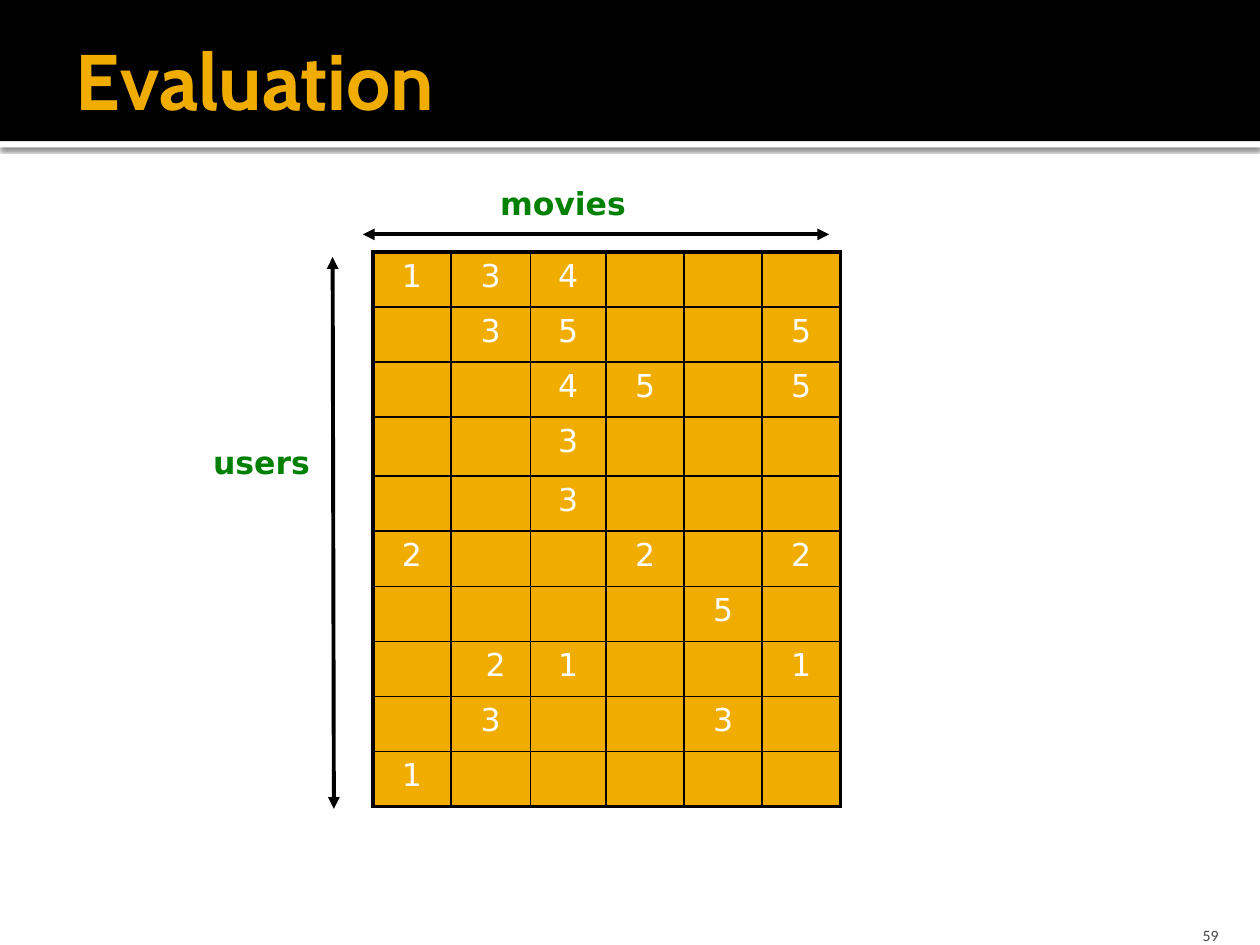
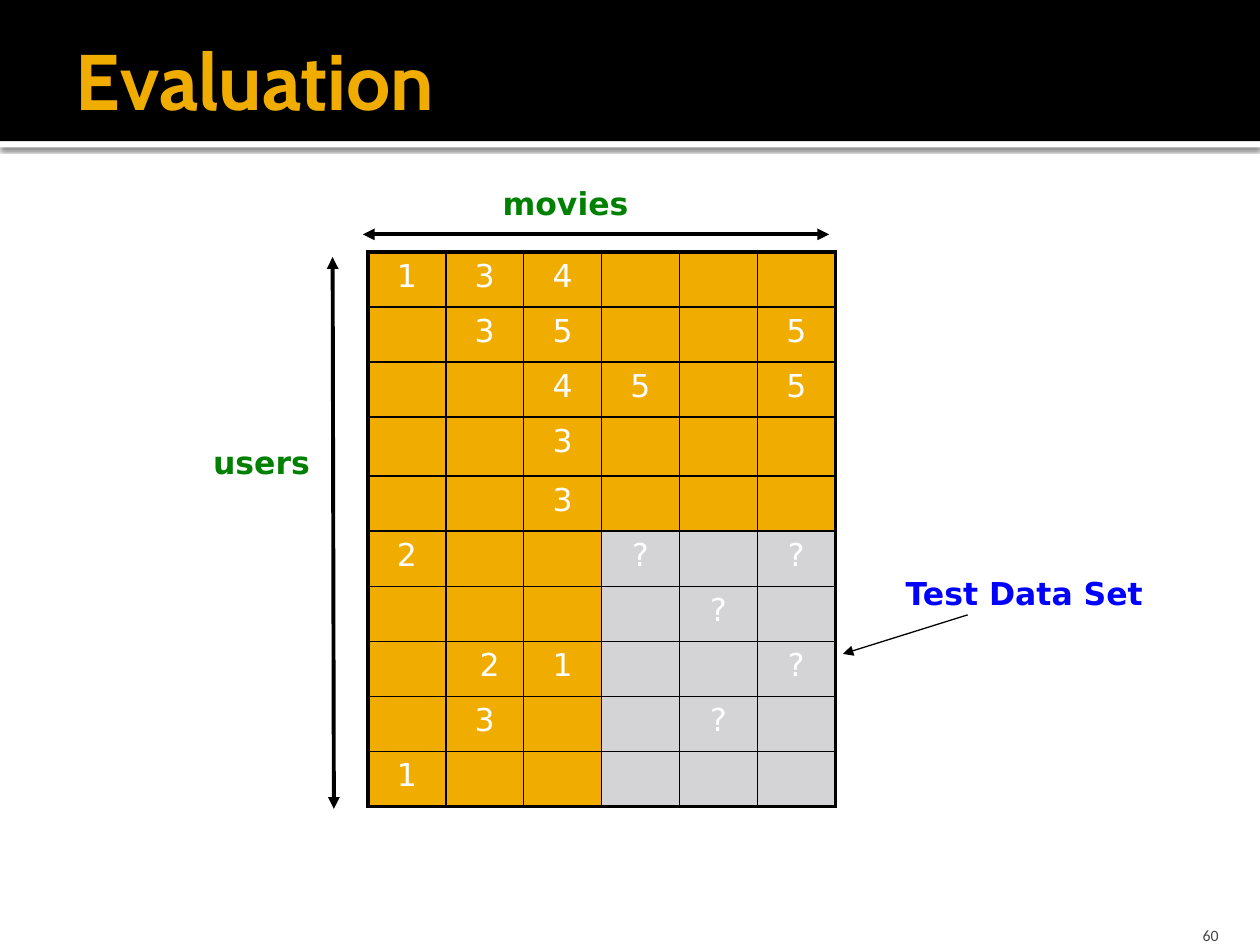
from pptx import Presentation
from pptx.dml.color import RGBColor
from pptx.enum.shapes import MSO_CONNECTOR, MSO_SHAPE
from pptx.enum.text import MSO_ANCHOR, PP_ALIGN
from pptx.oxml import parse_xml
from pptx.oxml.ns import nsdecls, qn
from pptx.util import Inches, Pt

RECTANGLE = MSO_SHAPE.RECTANGLE
STRAIGHT = MSO_CONNECTOR.STRAIGHT
LEFT, CENTER, RIGHT = PP_ALIGN.LEFT, PP_ALIGN.CENTER, PP_ALIGN.RIGHT
TOP, MIDDLE, BOTTOM = MSO_ANCHOR.TOP, MSO_ANCHOR.MIDDLE, MSO_ANCHOR.BOTTOM

COLORS = {
    "band": "000000",
    "stripe": "FFFFFF",
    "title": "F0AD00",
    "known": "F0AD00",
    "test": "D4D4D6",
    "rating": "FFFFFF",
    "line": "000000",
    "axis": "008000",
    "callout": "0000FF",
    "number": "454545",
}
TITLE_FONT, NUMBER_FONT, BODY_FONT = "Cabin", "Calibri", "DejaVu Sans"

RATINGS = [
    ["1", "3", "4", "", "", ""],
    ["", "3", "5", "", "", "5"],
    ["", "", "4", "5", "", "5"],
    ["", "", "3", "", "", ""],
    ["", "", "3", "", "", ""],
    ["2", "", "", "2", "", "2"],
    ["", "", "", "", "5", ""],
    ["", " 2", "1", "", "", "1"],
    ["", "3", "", "", "3", ""],
    ["1", "", "", "", "", ""],
]
TALL_ROW, TALL_HEIGHT = 3, 0.47
TEST_ROW, TEST_COLUMN = 5, 3
MATRIX_TOP, MATRIX_WIDTH, MATRIX_HEIGHT = 2, 3.71, 4.4
EVEN_COLUMNS = [MATRIX_WIDTH / 6] * 6
UNEVEN_COLUMNS = [0.62, 0.63, 0.6, 0.62, 0.62, 0.62]


def color(name):
    """Return the named colour of the palette."""
    return RGBColor.from_string(COLORS[name])


def style(paragraph, font, size, color_name, bold=False, alignment=LEFT):
    """Format a whole paragraph."""
    paragraph.alignment = alignment
    paragraph.font.name = font
    paragraph.font.size = Pt(size)
    paragraph.font.bold = bold
    paragraph.font.color.rgb = color(color_name)


def set_insets(frame, left, top, right, bottom):
    """Set the inner margins of a text frame in inches."""
    frame.margin_left, frame.margin_top = Inches(left), Inches(top)
    frame.margin_right, frame.margin_bottom = Inches(right), Inches(bottom)


def add_label(slide, box, text, color_name, alignment=LEFT, wrap=False):
    """Add a bold label in the given box."""
    frame = slide.shapes.add_textbox(*map(Inches, box)).text_frame
    frame.word_wrap = wrap
    frame.text = text
    style(frame.paragraphs[0], BODY_FONT, 18, color_name, True, alignment)


def add_arrow(slide, start, end, width, both_ends=False):
    """Draw a straight arrow between two points."""
    connector = slide.shapes.add_connector(STRAIGHT, *map(Inches, start + end))
    connector.line.color.rgb = color("line")
    connector.line.width = Pt(width)
    properties = connector._element.spPr
    outline = properties.find(qn("a:ln"))
    for tag in ("headEnd", "tailEnd") if both_ends else ("tailEnd",):
        outline.append(parse_xml(f'<a:{tag} {nsdecls("a")} type="triangle"/>'))
    properties.append(parse_xml(f'<a:effectLst {nsdecls("a")}/>'))


def add_band(slide, box, color_name):
    """Add a plain full-width band behind the title."""
    band = slide.shapes.add_shape(RECTANGLE, *map(Inches, box))
    band.shadow.inherit = False
    band.fill.solid()
    band.fill.fore_color.rgb = color(color_name)
    band.line.fill.background()
    return band


def add_header(slide, text, width=10, height=1.12):
    """Build the black header, its shadowed stripe and the title."""
    stripe = add_band(slide, (0, height, width, 0.05), "stripe")
    stripe._element.spPr.find(qn("a:effectLst")).append(parse_xml(
        f'<a:outerShdw {nsdecls("a")} blurRad="{Pt(2.5)}" dist="{Pt(0.8)}"'
        ' dir="5400000" algn="tl" rotWithShape="0"><a:srgbClr val="000000">'
        '<a:alpha val="60000"/></a:srgbClr></a:outerShdw>'))
    add_band(slide, (0, 0, width, height), "band")
    title = slide.shapes.title
    slide.shapes._spTree.append(title._element)
    title.left, title.top = Inches(0.5), Inches(0.17)
    title.width, title.height = Inches(width - 1), Inches(0.92)
    frame = title.text_frame
    frame.text = text
    frame.vertical_anchor = MIDDLE
    set_insets(frame, 0.1, 0.05, 0.05, 0.05)
    style(frame.paragraphs[0], TITLE_FONT, 45, "title", True)


def add_slide_number(slide, number):
    """Write the slide number at the bottom right."""
    box = map(Inches, (8.97, 7.2, 0.8, 0.3))
    frame = slide.shapes.add_textbox(*box).text_frame
    frame.word_wrap = True
    frame.vertical_anchor = BOTTOM
    set_insets(frame, 0.1, 0.05, 0.1, 0)
    frame.text = str(number)
    style(frame.paragraphs[0], NUMBER_FONT, 9, "number", alignment=RIGHT)


def set_borders(cell, outer_sides):
    """Draw the cell borders, thicker on the outer sides."""
    properties = cell._tc.get_or_add_tcPr()
    for side in "LRTB":
        width = Pt(2.25 if side in outer_sides else 1)
        properties.append(parse_xml(
            f'<a:ln{side} {nsdecls("a")} w="{width}"><a:solidFill>'
            f'<a:srgbClr val="{COLORS["line"]}"/></a:solidFill></a:ln{side}>'))


def add_rating_matrix(slide, left, column_widths, hide_test):
    """Build the ratings table, optionally hiding the test block."""
    box = map(Inches, (left, MATRIX_TOP, MATRIX_WIDTH, MATRIX_HEIGHT))
    row_count, column_count = len(RATINGS), len(column_widths)
    table = slide.shapes.add_table(row_count, column_count, *box).table
    table.first_row = table.horz_banding = False
    for column, width in zip(table.columns, column_widths):
        column.width = Inches(width)
    row_height = (MATRIX_HEIGHT - TALL_HEIGHT) / (row_count - 1)
    for row_index, ratings in enumerate(RATINGS):
        is_tall = row_index == TALL_ROW
        table.rows[row_index].height = Inches(TALL_HEIGHT if is_tall else row_height)
        for column_index, rating in enumerate(ratings):
            cell = table.cell(row_index, column_index)
            edges = {"L": column_index == 0, "R": column_index == column_count - 1,
                     "T": row_index == 0, "B": row_index == row_count - 1}
            set_borders(cell, [side for side, is_outer in edges.items() if is_outer])
            hidden = hide_test and row_index >= TEST_ROW and column_index >= TEST_COLUMN
            cell.fill.solid()
            cell.fill.fore_color.rgb = color("test" if hidden else "known")
            cell.vertical_anchor = TOP
            cell.text = "?" if hidden and rating else rating
            style(cell.text_frame.paragraphs[0], BODY_FONT, 18, "rating", alignment=CENTER)


def add_axes(slide, movies_left):
    """Label the two directions of the matrix with double arrows."""
    add_label(slide, (movies_left, 1.41, 1.21, 0.4), "movies", "axis")
    add_label(slide, (1.1, 3.47, 1.95, 0.4), "users", "axis", CENTER, True)
    add_arrow(slide, (2.64, 2.04), (2.65, 6.42), 2.25, True)
    add_arrow(slide, (2.88, 1.86), (6.58, 1.86), 2.25, True)


def add_test_callout(slide, left, top):
    """Point from the test set label to the hidden block."""
    add_label(slide, (left, top, 2.1, 0.4), "Test Data Set", "callout")
    add_arrow(slide, (left + 0.59, top + 0.37), (left - 0.4, top + 0.68), 0.75)


def add_evaluation_slide(presentation, number, matrix_left, column_widths,
                         movies_left, hide_test=False):
    """Build one evaluation slide."""
    slide = presentation.slides.add_slide(presentation.slide_layouts[5])
    add_header(slide, "Evaluation")
    add_rating_matrix(slide, matrix_left, column_widths, hide_test)
    add_axes(slide, movies_left)
    if hide_test:
        add_test_callout(slide, 7.09, 4.51)
    add_slide_number(slide, number)


def main():
    """Create and save the presentation."""
    presentation = Presentation()
    presentation.slide_width, presentation.slide_height = Inches(10), Inches(7.5)
    add_evaluation_slide(presentation, 59, 2.96, UNEVEN_COLUMNS, 3.87)
    add_evaluation_slide(presentation, 60, 2.92, EVEN_COLUMNS, 3.89, hide_test=True)
    presentation.save("out.pptx")


if __name__ == "__main__":
    main()
